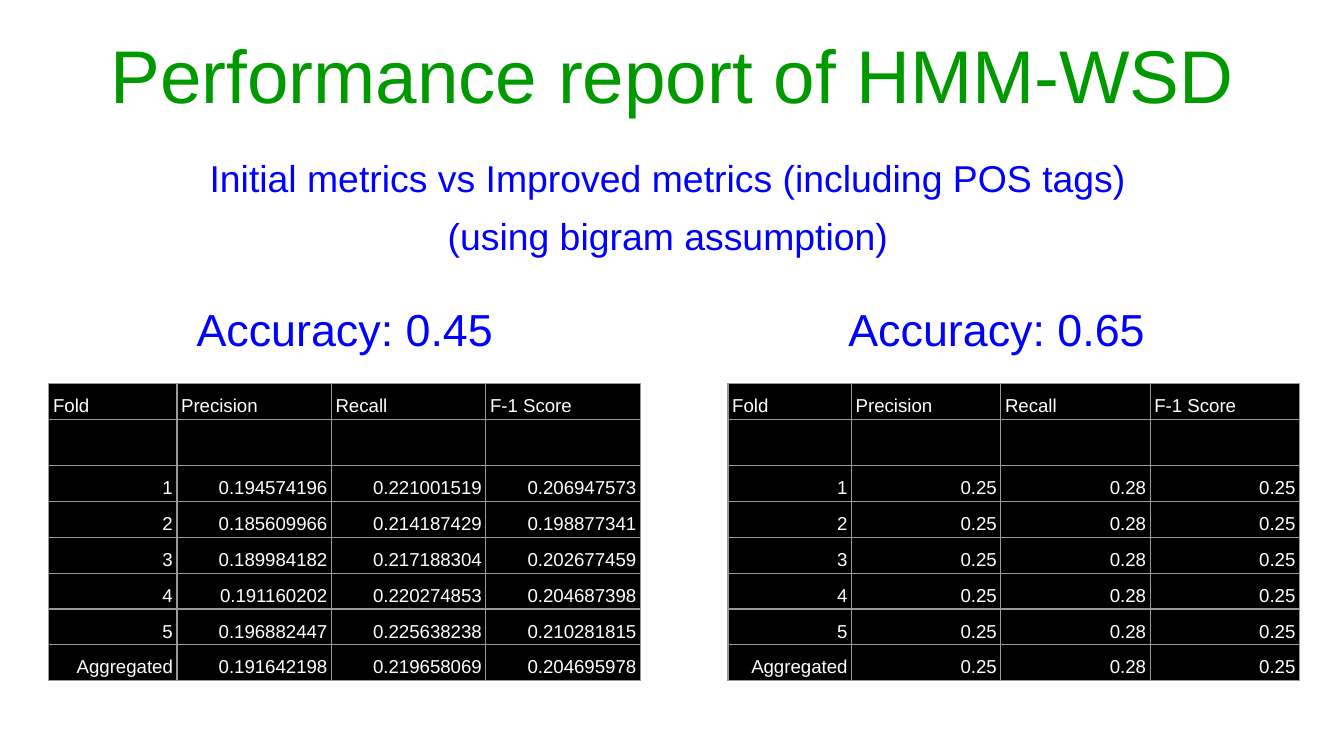
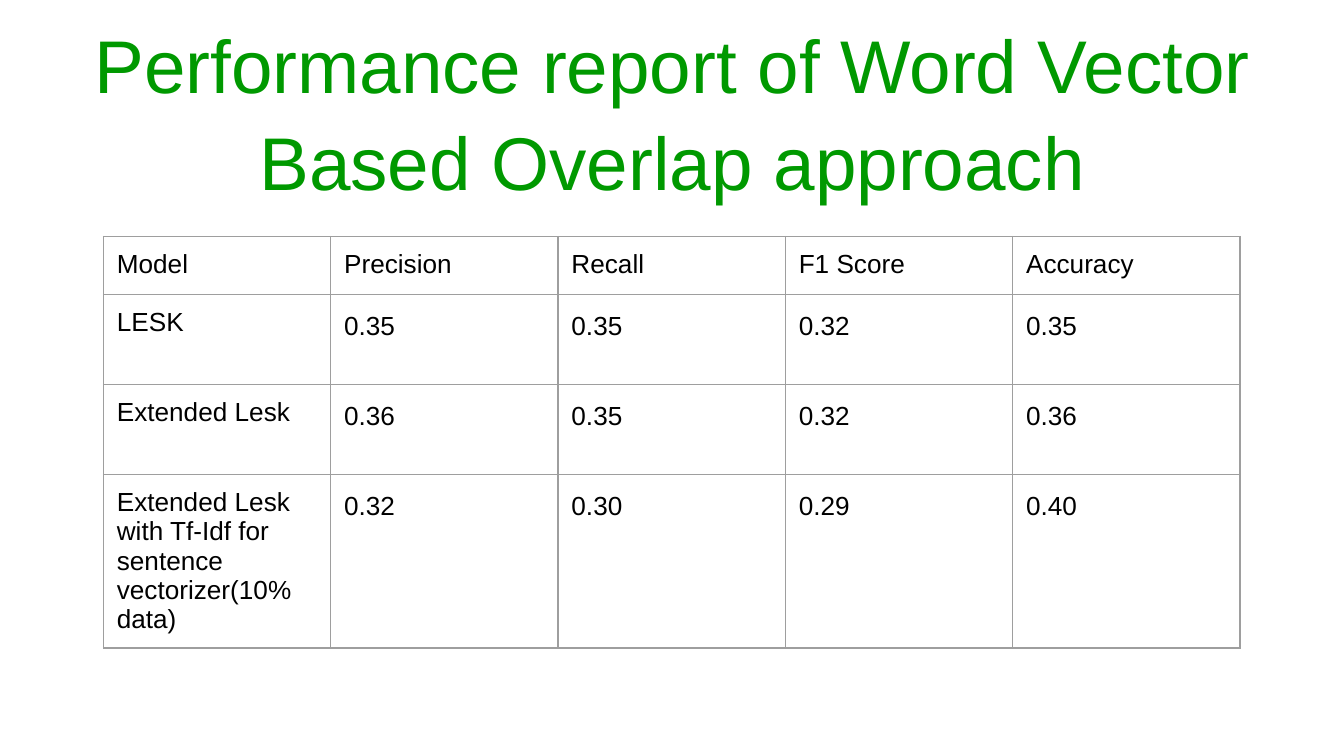
"""Build two slides reporting word sense disambiguation performance."""
from dataclasses import dataclass

from lxml import etree
from pptx import Presentation
from pptx.dml.color import RGBColor
from pptx.enum.text import MSO_ANCHOR, MSO_AUTO_SIZE, PP_ALIGN
from pptx.oxml.ns import qn
from pptx.util import Pt

TOP, MIDDLE, BOTTOM = MSO_ANCHOR.TOP, MSO_ANCHOR.MIDDLE, MSO_ANCHOR.BOTTOM
LEFT, CENTER, RIGHT = PP_ALIGN.LEFT, PP_ALIGN.CENTER, PP_ALIGN.RIGHT
NO_FIT = MSO_AUTO_SIZE.NONE

FONT = "Arial"
COLORS = {
    "title": "009900",
    "accent": "0000FF",
    "black": "000000",
    "white": "FFFFFF",
    "fold_border": "999999",
    "model_border": "9E9E9E",
}
COMPARISON_LAYOUT, TITLE_ONLY_LAYOUT = 4, 5
BORDER_WIDTH = Pt(0.75)

FOLD_HEADER = ["Fold", "Precision", "Recall", "F-1 Score"]
FOLD_NAMES = ["1", "2", "3", "4", "5", "Aggregated"]
INITIAL_SCORES = [
    ["0.194574196", "0.221001519", "0.206947573"],
    ["0.185609966", "0.214187429", "0.198877341"],
    ["0.189984182", "0.217188304", "0.202677459"],
    ["0.191160202", "0.220274853", "0.204687398"],
    ["0.196882447", "0.225638238", "0.210281815"],
    ["0.191642198", "0.219658069", "0.204695978"],
]
IMPROVED_SCORES = [["0.25", "0.28", "0.25"]] * len(FOLD_NAMES)
FOLD_ROW_HEIGHTS = [19.2, 23.1] + [19.2] * len(FOLD_NAMES)

MODEL_ROWS = [
    ["Model", "Precision", "Recall", "F1 Score", "Accuracy"],
    ["LESK", "0.35", "0.35", "0.32", "0.35"],
    ["Extended Lesk", "0.36", "0.35", "0.32", "0.36"],
    ["Extended Lesk with Tf-Idf for sentence vectorizer(10%\ndata)",
     "0.32", "0.30", "0.29", "0.40"],
]
MODEL_ROW_HEIGHTS = [31, 48.2, 48.2, 93]


@dataclass
class Frame:
    """Position and size in points."""
    left: float
    top: float
    width: float
    height: float


@dataclass
class TextStyle:
    """Look of the text in a placeholder."""
    size: float
    color: str
    anchor: MSO_ANCHOR = TOP
    space_before: float = 4.8


@dataclass
class TableStyle:
    """Look of a table."""
    size: float
    color: str
    border: str
    fill: str | None
    anchor: MSO_ANCHOR
    margin_x: float
    margin_y: float
    number_align: PP_ALIGN
    header_spacing: float
    label_spacing: float


@dataclass
class FoldReport:
    """Accuracy heading and per-fold table."""
    heading_index: int
    accuracy: str
    heading_left: float
    table_left: float
    column_widths: list[float]
    scores: list[list[str]]


TITLE_STYLE = TextStyle(40, "title", MIDDLE, 0)
SUBTITLE_STYLE = TextStyle(20, "accent")
HEADING_STYLE = TextStyle(24, "accent")
FOLD_STYLE = TableStyle(10, "white", "fold_border", "black", BOTTOM,
                        2.25, 1.5, RIGHT, 1.15, 1.15)
MODEL_STYLE = TableStyle(14, "black", "model_border", None, TOP,
                         7.2, 7.2, LEFT, 1, 1)
FOLD_REPORTS = [
    FoldReport(1, "0.45", 72.7, 26.2, [68.6] + [82.75] * 3, INITIAL_SCORES),
    FoldReport(3, "0.65", 421.9, 390, [66.2] + [80] * 3, IMPROVED_SCORES),
]


def format_paragraph(para, size: float, color: str, align: PP_ALIGN,
                     spacing: float) -> None:
    """Format a paragraph and its runs."""
    para.alignment = align
    para.line_spacing = spacing
    for span in para.runs:
        span.font.name = FONT
        span.font.size = Pt(size)
        span.font.bold = False
        span.font.color.rgb = RGBColor.from_string(COLORS[color])


def fill_placeholder(box, frame: Frame, text: str, style: TextStyle) -> None:
    """Move a placeholder and give it unbulleted, centred text."""
    box.left, box.top = Pt(frame.left), Pt(frame.top)
    box.width, box.height = Pt(frame.width), Pt(frame.height)
    text_frame = box.text_frame
    text_frame.text = text
    text_frame.word_wrap = True
    text_frame.auto_size = NO_FIT
    text_frame.vertical_anchor = style.anchor
    for para in text_frame.paragraphs:
        format_paragraph(para, style.size, style.color, CENTER, 1.08)
        para.space_before = Pt(style.space_before)
        properties = para._p.get_or_add_pPr()
        properties.set("marL", "0")
        properties.set("indent", "0")
        etree.SubElement(properties, qn("a:buNone"))


def add_borders(cell, color: str) -> None:
    """Draw a thin line on every side of a cell."""
    properties = cell._tc.get_or_add_tcPr()
    for side in ("a:lnL", "a:lnR", "a:lnT", "a:lnB"):
        line = etree.SubElement(properties, qn(side), w=str(BORDER_WIDTH))
        fill = etree.SubElement(line, qn("a:solidFill"))
        etree.SubElement(fill, qn("a:srgbClr"), val=COLORS[color])


def format_cell(cell, style: TableStyle, align: PP_ALIGN, spacing: float) -> None:
    """Apply a table style to one cell."""
    add_borders(cell, style.border)
    if style.fill:
        cell.fill.solid()
        cell.fill.fore_color.rgb = RGBColor.from_string(COLORS[style.fill])
    else:
        cell.fill.background()
    cell.margin_left = cell.margin_right = Pt(style.margin_x)
    cell.margin_top = cell.margin_bottom = Pt(style.margin_y)
    cell.vertical_anchor = style.anchor
    for para in cell.text_frame.paragraphs:
        format_paragraph(para, style.size, style.color, align, spacing)


def add_score_table(page, left: float, top: float, widths: list[float],
                    heights: list[float], rows: list[list[str]],
                    style: TableStyle) -> None:
    """Add a table of scores below a header row."""
    table = page.shapes.add_table(
        len(rows), len(widths), Pt(left), Pt(top),
        Pt(sum(widths)), Pt(sum(heights))).table
    table.first_row = table.horz_banding = False
    for column, width in zip(table.columns, widths):
        column.width = Pt(width)
    for row, height in zip(table.rows, heights):
        row.height = Pt(height)
    for row_index, texts in enumerate(rows):
        for column_index, text in enumerate(texts):
            cell = table.cell(row_index, column_index)
            if text:
                cell.text_frame.text = text
            align, spacing = style.number_align, 1.15
            if row_index == 0:
                align, spacing = LEFT, style.header_spacing
            elif column_index == 0:
                spacing = style.label_spacing
            if not text:
                spacing = 1
            format_cell(cell, style, align, spacing)


def build_hmm_slide(deck) -> None:
    """Compare the initial and the improved HMM metrics."""
    page = deck.slides.add_slide(deck.slide_layouts[COMPARISON_LAYOUT])
    boxes = {box.placeholder_format.idx: box for box in page.placeholders}
    fill_placeholder(boxes[0], Frame(36, 12.2, 648, 50.4),
                     "Performance report of HMM-WSD", TITLE_STYLE)
    fill_placeholder(boxes[2], Frame(39.6, 77.8, 636.5, 36),
                     "Initial metrics vs Improved metrics (including POS tags)\n"
                     "(using bigram assumption)", SUBTITLE_STYLE)
    unused = boxes[4].element
    unused.getparent().remove(unused)
    for report in FOLD_REPORTS:
        fill_placeholder(boxes[report.heading_index],
                         Frame(report.heading_left, 155.5, 223.9, 36),
                         f"Accuracy: {report.accuracy}", HEADING_STYLE)
        rows = [FOLD_HEADER, [""] * len(FOLD_HEADER)]
        rows += [[name, *scores] for name, scores in zip(FOLD_NAMES, report.scores)]
        add_score_table(page, report.table_left, 205.4, report.column_widths,
                        FOLD_ROW_HEIGHTS, rows, FOLD_STYLE)


def build_word_vector_slide(deck) -> None:
    """Compare the word vector models."""
    page = deck.slides.add_slide(deck.slide_layouts[TITLE_ONLY_LAYOUT])
    fill_placeholder(page.shapes.title, Frame(36, 22.3, 648, 72),
                     "Performance report of Word Vector Based Overlap approach",
                     TITLE_STYLE)
    add_score_table(page, 55.4, 126.7, [121.8] * len(MODEL_ROWS[0]),
                    MODEL_ROW_HEIGHTS, MODEL_ROWS, MODEL_STYLE)


def main() -> None:
    """Build and save the deck."""
    deck = Presentation()
    deck.slide_width, deck.slide_height = Pt(720), Pt(405)
    build_hmm_slide(deck)
    build_word_vector_slide(deck)
    deck.save("out.pptx")


if __name__ == "__main__":
    main()
